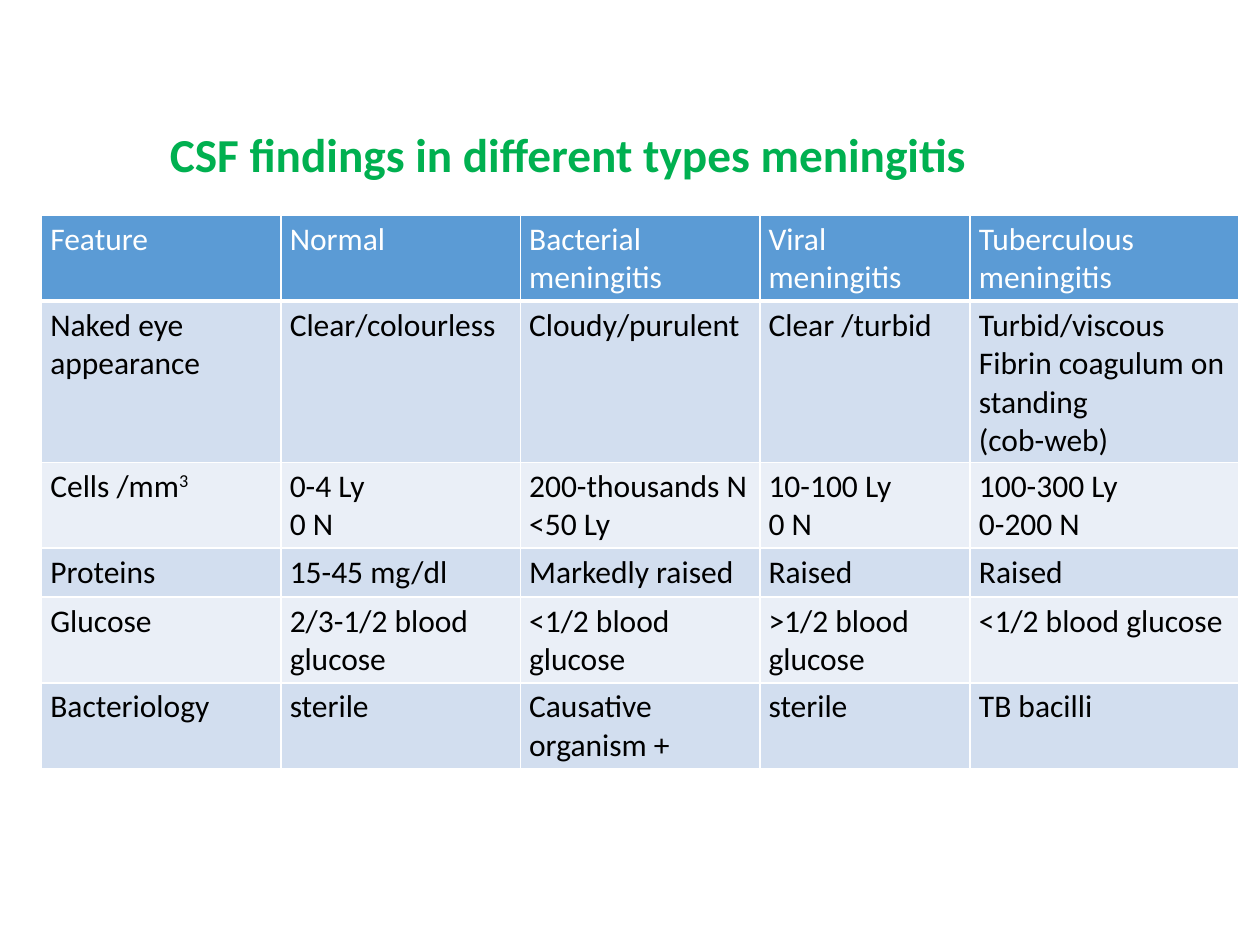
from dataclasses import dataclass

from pptx import Presentation
from pptx.dml.color import RGBColor
from pptx.enum.text import MSO_ANCHOR
from pptx.oxml.ns import qn
from pptx.util import Inches, Pt
from lxml.etree import SubElement


@dataclass(frozen=True)
class Theme:
    font: str = "Calibri"
    title_size: int = 27
    body_size: int = 18
    title: str = "00B050"
    header: str = "5B9BD5"
    bands: tuple = ("D2DEEF", "EAEFF7")
    light: str = "FFFFFF"
    dark: str = "000000"
    line: float = 1
    header_line: float = 3


COLUMN_WIDTHS = (1.9, 1.9, 1.9, 1.67, 2.13)
ROW_HEIGHTS = (0.68, 1.27, 0.68, 0.39, 0.68, 0.68)
# A line break starts a new paragraph; a caret raises the rest of its line.
FINDINGS = (
    ("Feature", "Normal", "Bacterial meningitis", "Viral meningitis",
     "Tuberculous meningitis"),
    ("Naked eye appearance", "Clear/colourless", "Cloudy/purulent",
     "Clear /turbid",
     "Turbid/viscous\nFibrin coagulum on standing\n(cob-web)"),
    ("Cells /mm^3", "0-4 Ly\n0 N", "200-thousands N\n<50 Ly",
     "10-100 Ly\n0 N", "100-300 Ly\n0-200 N"),
    ("Proteins", "15-45 mg/dl", "Markedly raised", "Raised", "Raised"),
    ("Glucose", "2/3-1/2 blood glucose", "<1/2 blood glucose",
     ">1/2 blood glucose", "<1/2 blood glucose"),
    ("Bacteriology", "sterile", "Causative organism +", "sterile",
     "TB bacilli"),
)


class SlideBuilder:
    def __init__(self, slide, theme):
        self.s = slide
        self.theme = theme

    def style(self, p, size, color, bold=False):
        p.font.name = self.theme.font
        p.font.size = Pt(size)
        p.font.bold = bold
        p.font.color.rgb = RGBColor.from_string(color)

    def title(self, text, left, top, width, height):
        box = self.s.shapes.add_textbox(
            Inches(left), Inches(top), Inches(width), Inches(height))
        tf = box.text_frame
        tf.word_wrap = True
        tf.vertical_anchor = MSO_ANCHOR.MIDDLE
        p = tf.paragraphs[0]
        p.text = text
        p.line_spacing = 0.9
        self.style(p, self.theme.title_size, self.theme.title, bold=True)

    def table(self, rows, left, top, widths, heights):
        frame = self.s.shapes.add_table(
            len(rows), len(widths), Inches(left), Inches(top),
            Inches(sum(widths)), Inches(sum(heights)))
        table = frame.table
        for column, width in zip(table.columns, widths):
            column.width = Inches(width)
        for row, height in zip(table.rows, heights):
            row.height = Inches(height)
        for i, texts in enumerate(rows):
            for j, text in enumerate(texts):
                self.cell(table.cell(i, j), text, i)

    def cell(self, cell, text, row):
        t = self.theme
        is_header = row == 0
        self.borders(cell, t.header_line if is_header else t.line)
        cell.fill.solid()
        cell.fill.fore_color.rgb = RGBColor.from_string(
            t.header if is_header else t.bands[(row - 1) % 2])
        cell.margin_left = cell.margin_right = Inches(0.07)
        cell.margin_top = cell.margin_bottom = Inches(0.04)
        tf = cell.text_frame
        for i, line in enumerate(text.split("\n")):
            p = tf.add_paragraph() if i else tf.paragraphs[0]
            base, _, raised = line.partition("^")
            p.add_run().text = base
            if raised:
                r = p.add_run()
                r.text = raised
                r._r.get_or_add_rPr().set("baseline", "30000")
            self.style(p, t.body_size, t.light if is_header else t.dark)

    def borders(self, cell, bottom):
        """Add the four cell lines; call before the fill is set."""
        tcPr = cell._tc.get_or_add_tcPr()
        line = self.theme.line
        for side, width in zip("LRTB", (line, line, line, bottom)):
            ln = SubElement(tcPr, qn(f"a:ln{side}"), w=str(Pt(width)))
            fill = SubElement(ln, qn("a:solidFill"))
            SubElement(fill, qn("a:srgbClr"), val=self.theme.light)


def main():
    prs = Presentation()
    prs.slide_width = Inches(10)
    prs.slide_height = Inches(7.5)
    slide = SlideBuilder(prs.slides.add_slide(prs.slide_layouts[6]), Theme())
    slide.title("CSF findings in different types meningitis",
                1.25, 0.94, 7.5, 0.62)
    slide.table(FINDINGS, 0.33, 1.71, COLUMN_WIDTHS, ROW_HEIGHTS)
    prs.save("out.pptx")


if __name__ == "__main__":
    main()
